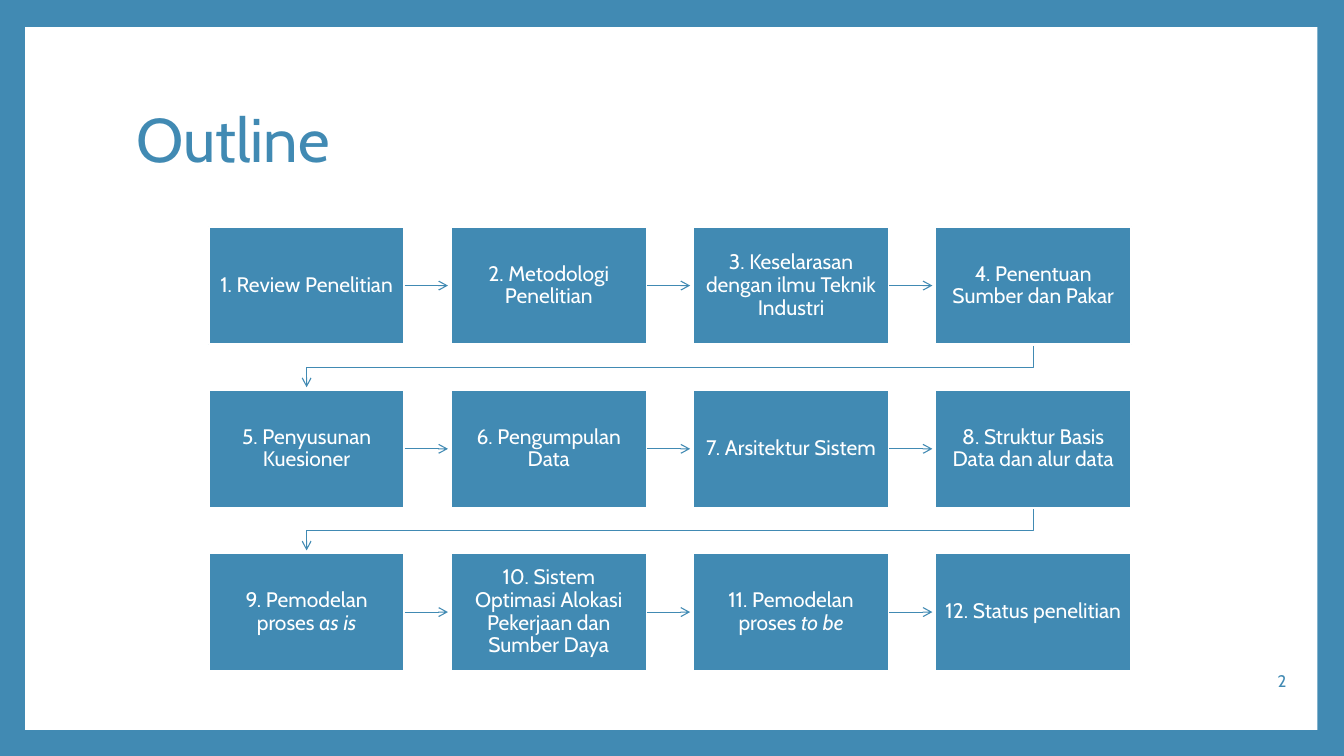
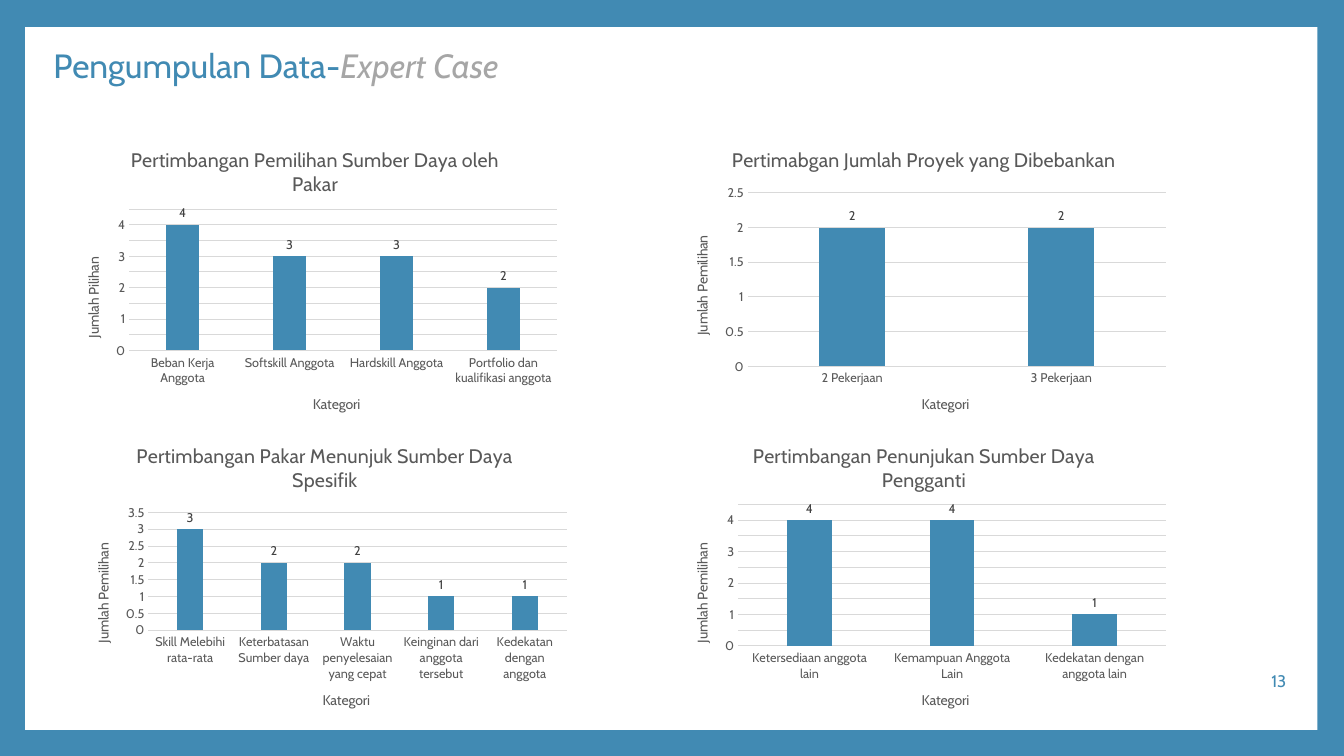
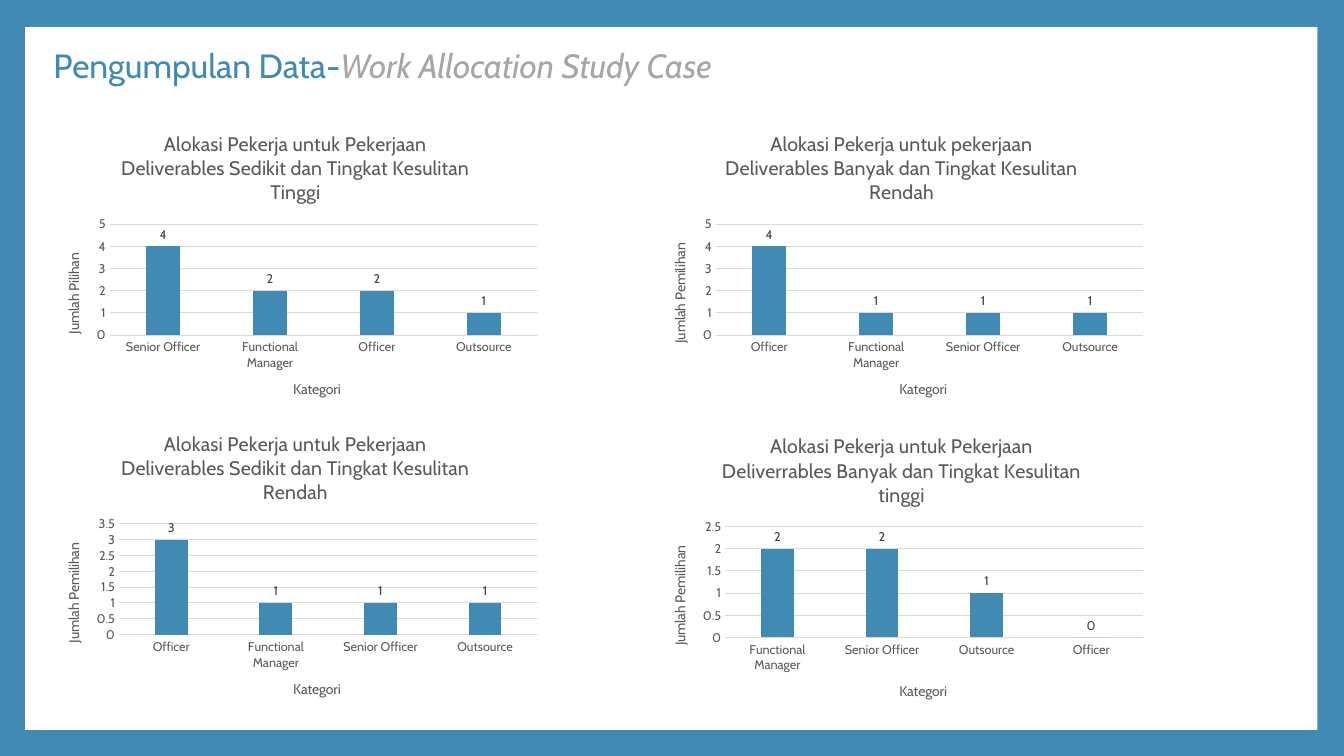
from itertools import pairwise

from lxml.etree import SubElement
from pptx import Presentation
from pptx.chart.data import CategoryChartData
from pptx.dml.color import RGBColor
from pptx.enum.chart import XL_CHART_TYPE as ChartType, XL_LABEL_POSITION as LabelPosition
from pptx.enum.chart import XL_TICK_MARK as TickMark
from pptx.enum.shapes import MSO_CONNECTOR as Connector, MSO_SHAPE as Shape
from pptx.enum.text import MSO_ANCHOR as Anchor, MSO_AUTO_SIZE as AutoSize, PP_ALIGN as Align
from pptx.oxml.ns import qn
from pptx.util import Pt

FONT = "Cabin"
BLUE, WHITE, SILVER = "418AB3", "FFFFFF", "A6A6A6"
GRID, AXIS_TEXT, LABEL_TEXT = "D9D9D9", "595959", "404040"

# Content: a text is a plain part, then optionally an italic part
STEPS = [
    ("1. Review Penelitian",),
    ("2. Metodologi Penelitian",),
    ("3. Keselarasan dengan ilmu Teknik Industri",),
    ("4. Penentuan Sumber dan Pakar",),
    ("5. Penyusunan Kuesioner",),
    ("6. Pengumpulan Data",),
    ("7. Arsitektur Sistem",),
    ("8. Struktur Basis Data dan alur data",),
    ("9. Pemodelan proses ", "as is"),
    ("10. Sistem Optimasi Alokasi Pekerjaan dan Sumber Daya",),
    ("11. Pemodelan proses ", "to be"),
    ("12. Status penelitian",),
]

# Charts: left, top, title, value axis title, values by category
EXPERT_CHARTS = [
    (45, 94, "Pertimbangan Pemilihan Sumber Daya oleh Pakar", "Jumlah Pilihan",
     {"Beban Kerja Anggota": 4, "Softskill Anggota": 3, "Hardskill Anggota": 3,
      "Portfolio dan kualifikasi anggota": 2}),
    (480, 94, "Pertimabgan Jumlah Proyek yang Dibebankan", "Jumlah Pemilihan",
     {"2 Pekerjaan": 2, "3 Pekerjaan": 2}),
    (52, 305, "Pertimbangan Pakar Menunjuk Sumber Daya Spesifik", "Jumlah Pemilihan",
     {"Skill Melebihi rata-rata": 3, "Keterbatasan Sumber daya": 2,
      "Waktu penyelesaian yang cepat": 2, "Keinginan dari anggota tersebut": 1,
      "Kedekatan dengan anggota": 1}),
    (480, 305, "Pertimbangan Penunjukan Sumber Daya Pengganti", "Jumlah Pemilihan",
     {"Ketersediaan anggota lain": 4, "Kemampuan Anggota Lain": 4,
      "Kedekatan dengan anggota lain": 1}),
]
ALLOCATION_CHARTS = [
    (31, 83, "Alokasi Pekerja untuk Pekerjaan\n"
     "Deliverables Sedikit dan Tingkat Kesulitan Tinggi", "Jumlah Pilihan",
     {"Senior Officer": 4, "Functional Manager": 2, "Officer": 2, "Outsource": 1}),
    (464, 83, "Alokasi Pekerja untuk pekerjaan\n"
     "Deliverables Banyak dan Tingkat Kesulitan Rendah", "Jumlah Pemilihan",
     {"Officer": 4, "Functional Manager": 1, "Senior Officer": 1, "Outsource": 1}),
    (31, 297, "Alokasi Pekerja untuk Pekerjaan\n"
     "Deliverables Sedikit dan Tingkat Kesulitan Rendah", "Jumlah Pemilihan",
     {"Officer": 3, "Functional Manager": 1, "Senior Officer": 1, "Outsource": 1}),
    (464, 299, "Alokasi Pekerja untuk Pekerjaan\n"
     "Deliverrables Banyak dan Tingkat Kesulitan tinggi", "Jumlah Pemilihan",
     {"Functional Manager": 2, "Senior Officer": 2, "Outsource": 1, "Officer": 0}),
]

# Title parts, title box, title size, page number, charts
PAGES = [
    (("Outline",), (90, 48, 778, 107), 44, "2", []),
    (("Pengumpulan Data-", "Expert Case"), (31, 27, 341, 42), 24, "13", EXPERT_CHARTS),
    (("Pengumpulan Data-", "Work Allocation Study Case"), (31, 27, 492, 42), 24, "",
     ALLOCATION_CHARTS),
]

# Step grid
COLUMNS, GRID_LEFT, GRID_TOP = 4, 149, 162
STEP_X, STEP_Y, BOX_WIDTH, BOX_HEIGHT = 173, 116.6, 140, 84
ARROW_GAP = 2


def color(value):
    return RGBColor.from_string(value)


def points(*values):
    return [Pt(value) for value in values]


def set_font(font, size, value):
    font.name, font.size, font.bold = FONT, Pt(size), False
    font.color.rgb = color(value)


def write(frame, parts, size, value, align, italic_color=None):
    frame.word_wrap = True
    frame.auto_size = AutoSize.NONE
    frame.vertical_anchor = Anchor.MIDDLE
    para = frame.paragraphs[0]
    para.alignment, para.line_spacing = align, 0.9
    set_font(para.font, size, value)
    for index, part in enumerate(parts):
        span = para.add_run()
        span.text = part
        if index == 1:
            span.font.italic = True
            if italic_color:
                span.font.color.rgb = color(italic_color)


def add_panel(page, left, top, width, height, fill):
    panel = page.shapes.add_shape(Shape.RECTANGLE, *points(left, top, width, height))
    panel.shadow.inherit = False
    panel.fill.solid()
    panel.fill.fore_color.rgb = color(fill)
    panel.line.fill.background()
    return panel


def style_arrow(arrow):
    arrow.line.color.rgb = color(BLUE)
    arrow.line.width = Pt(0.79)
    properties = arrow._element.spPr
    SubElement(properties.find(qn("a:ln")), qn("a:tailEnd"), type="arrow")
    SubElement(properties, qn("a:effectLst"))


def add_steps(page):
    boxes = []
    for index, parts in enumerate(STEPS):
        row, column = divmod(index, COLUMNS)
        box = add_panel(page, GRID_LEFT + column * STEP_X, GRID_TOP + row * STEP_Y,
                        BOX_WIDTH, BOX_HEIGHT, BLUE)
        box.line.color.rgb = color(WHITE)
        box.line.width = Pt(1.5)
        write(box.text_frame, parts, 15, WHITE, Align.CENTER)
        boxes.append(box)

    for box, following in pairwise(boxes):
        if box.top == following.top:
            # Straight arrow within a row
            middle = box.top + box.height // 2
            arrow = page.shapes.add_connector(
                Connector.STRAIGHT, box.left + box.width, middle,
                following.left - Pt(ARROW_GAP), middle)
            arrow.begin_connect(box, 3)
        else:
            # Bent arrow down to the next row
            start_x = box.left + box.width // 2
            end_x = following.left + following.width // 2
            bottom = box.top + box.height
            bend = (bottom + following.top) // 2
            builder = page.shapes.build_freeform(start_x, bottom + Pt(1))
            builder.add_line_segments(
                [(start_x, bend), (end_x, bend), (end_x, following.top - Pt(ARROW_GAP))],
                close=False)
            arrow = builder.convert_to_shape()
            arrow.fill.background()
        style_arrow(arrow)


def set_chart_title(owner, text, size):
    owner.has_title = True
    title = owner.chart_title if hasattr(owner, "chart_title") else owner.axis_title
    title.text_frame.text = text
    for para in title.text_frame.paragraphs:
        set_font(para.font, size, AXIS_TEXT)
    return title


def add_column_chart(page, left, top, title, value_title, values):
    data = CategoryChartData()
    data.categories = list(values)
    data.add_series("Series 1", list(values.values()))
    chart = page.shapes.add_chart(
        ChartType.COLUMN_CLUSTERED, *points(left, top, 360, 216), data).chart
    chart.has_legend = False
    set_font(chart.font, 10, "000000")
    set_chart_title(chart, title, 14)

    # Axes
    category_axis, value_axis = chart.category_axis, chart.value_axis
    set_chart_title(category_axis, "Kategori", 10)
    side_title = set_chart_title(value_axis, value_title, 10)
    side_title.text_frame._txBody.bodyPr.set("rot", "-5400000")
    for axis in (category_axis, value_axis):
        axis.major_tick_mark = axis.minor_tick_mark = TickMark.NONE
        set_font(axis.tick_labels.font, 9, AXIS_TEXT)
    value_axis.format.line.fill.background()
    value_axis.has_major_gridlines = True
    for line in (category_axis.format.line, value_axis.major_gridlines.format.line):
        line.color.rgb = color(GRID)
        line.width = Pt(0.75)

    # Columns and their labels
    plot = chart.plots[0]
    plot.vary_by_categories = False
    plot.gap_width, plot.overlap = 219, -27
    fill = plot.series[0].format.fill
    fill.solid()
    fill.fore_color.rgb = color(BLUE)
    plot.has_data_labels = True
    labels = plot.data_labels
    labels.show_value = True
    labels.position = LabelPosition.OUTSIDE_END
    set_font(labels.font, 9, LABEL_TEXT)


def add_page(deck, parts, title_box, size, number):
    page = deck.slides.add_slide(deck.slide_layouts[5])
    title = page.shapes.title
    title.left, title.top, title.width, title.height = points(*title_box)
    write(title.text_frame, parts, size, BLUE, Align.LEFT, SILVER)
    if number:
        box = page.shapes.add_textbox(*points(894, 473, 32, 29))
        write(box.text_frame, (number,), 12, BLUE, Align.RIGHT)
    return page


def add_frame(deck, page):
    # Blue background and white sheet, moved to the master for every slide
    fill = deck.slide_master.background.fill
    fill.solid()
    fill.fore_color.rgb = color(BLUE)
    sheet = add_panel(page, 18, 19.4, 923, 502, WHITE)
    deck.slide_master.shapes._spTree.insert(2, sheet._element)


def main():
    deck = Presentation()
    deck.slide_width, deck.slide_height = points(960, 540)
    for parts, title_box, size, number, charts in PAGES:
        page = add_page(deck, parts, title_box, size, number)
        for chart in charts:
            add_column_chart(page, *chart)
    outline = deck.slides[0]
    add_frame(deck, outline)
    add_steps(outline)
    deck.save("out.pptx")


if __name__ == "__main__":
    main()
